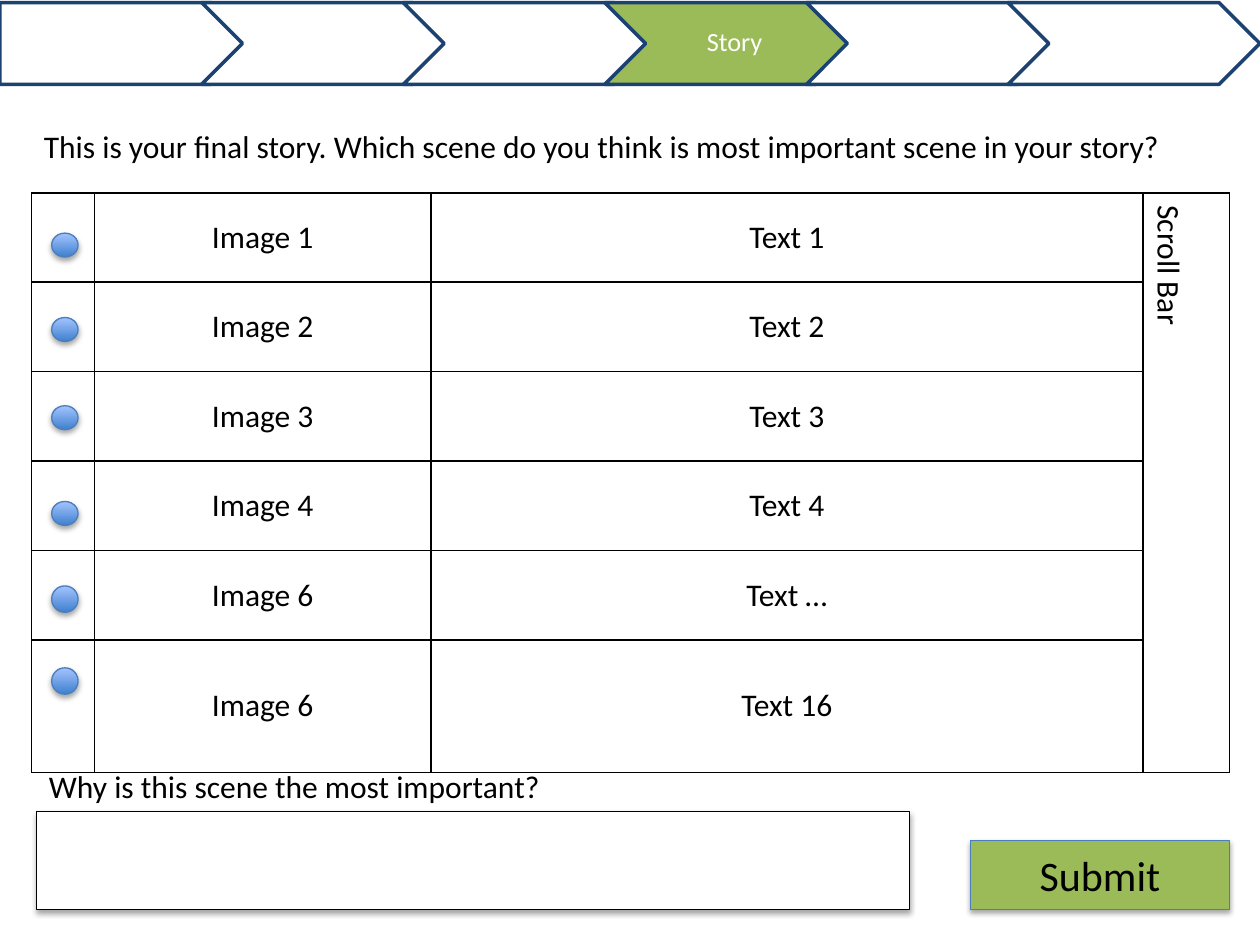
from dataclasses import dataclass

from lxml.etree import SubElement as Sub
from pptx import Presentation as Deck
from pptx.dml.color import RGBColor as Rgb
from pptx.enum.shapes import MSO_SHAPE as Kind
from pptx.enum.text import MSO_ANCHOR as Anchor, MSO_AUTO_SIZE as Fit, PP_ALIGN as Align
from pptx.oxml import parse_xml as read
from pptx.oxml.ns import nsdecls, qn
from pptx.util import Inches, Pt


@dataclass(frozen=True)
class Theme:
    font: str = "Calibri"
    black: str = "000000"
    white: str = "FFFFFF"
    green: str = "9BBB59"
    navy: str = "1C4271"
    blue: str = "4B7EBC"
    deep: str = "3F80CE"
    pale: str = "A4C4FF"
    small: float = 15
    body: float = 18
    large: float = 24


@dataclass(frozen=True)
class Box:
    left: float
    top: float
    width: float
    height: float

    def place(self) -> tuple:
        return tuple(map(Inches, (self.left, self.top, self.width, self.height)))


@dataclass(frozen=True)
class Step:
    kind: Kind
    fill: str
    label: str = ""


@dataclass(frozen=True)
class Scene:
    image: str
    text: str
    dot_top: float
    dot_high: float


THEME = Theme()
STEPS = [
    Step(Kind.PENTAGON, THEME.white),
    Step(Kind.CHEVRON, THEME.white),
    Step(Kind.CHEVRON, THEME.white),
    Step(Kind.CHEVRON, THEME.green, "Story"),
    Step(Kind.CHEVRON, THEME.white),
    Step(Kind.CHEVRON, THEME.white),
]
SCENES = [
    Scene("Image 1", "Text 1", 1.85, 0.19),
    Scene("Image 2", "Text 2", 2.52, 0.19),
    Scene("Image 3", "Text 3", 3.22, 0.19),
    Scene("Image 4", "Text 4", 3.98, 0.19),
    Scene("Image 6", "Text …", 4.65, 0.21),
    Scene("Image 6", "Text 16", 5.3, 0.21),
]
WIDTHS = (0.5, 2.67, 5.65, 0.69)
ROW_HIGH = 0.71


def write(frame, text: str, *, size=THEME.body, color=THEME.black, align=Align.LEFT):
    para = frame.paragraphs[0]
    para.alignment = align
    run = para.add_run()
    run.text = text
    run.font.name = THEME.font
    run.font.size = Pt(size)
    run.font.color.rgb = Rgb.from_string(color)
    return para


def add_note(shapes, box: Box, *, wrap=True, fit=Fit.SHAPE_TO_FIT_TEXT):
    frame = shapes.add_textbox(*box.place()).text_frame
    frame.word_wrap = wrap
    frame.auto_size = fit
    return frame


def add_shape(shapes, kind: Kind, box: Box, fill: str, line: str, weight=0.75, shade=False):
    shape = shapes.add_shape(kind, *box.place())
    shape.fill.solid()
    shape.fill.fore_color.rgb = Rgb.from_string(fill)
    shape.line.color.rgb = Rgb.from_string(line)
    shape.line.width = Pt(weight)
    shape.shadow.inherit = False
    if shade:
        glow = shape._element.spPr.find(qn("a:effectLst"))
        glow.append(read(
            f'<a:outerShdw {nsdecls("a")} blurRad="{Pt(3.1)}" dist="{Pt(1.8)}" '
            f'dir="5400000" rotWithShape="0"><a:srgbClr val="{THEME.black}">'
            '<a:alpha val="35000"/></a:srgbClr></a:outerShdw>'))
    return shape


def add_steps(shapes) -> None:
    group = shapes.add_group_shape().shapes
    for spot, step in enumerate(STEPS):
        left = 1.6 * spot
        add_shape(group, step.kind, Box(left, 0.02, 2, 0.65), step.fill, THEME.navy, 2)
        if step.label:
            frame = add_note(group, Box(left + 0.33, 0.02, 1.35, 0.65), fit=Fit.NONE)
            frame.vertical_anchor = Anchor.MIDDLE
            frame.margin_left, frame.margin_right = Inches(0.07), Inches(0.02)
            frame.margin_top = frame.margin_bottom = Inches(0.04)
            para = write(frame, step.label, size=THEME.small, color=THEME.white,
                         align=Align.CENTER)
            para.line_spacing = 0.9


def rule_cell(cell) -> None:
    cell.fill.background()
    props = cell._tc.get_or_add_tcPr()
    for spot, side in enumerate("LRTB"):
        edge = read(f'<a:ln{side} {nsdecls("a")} w="{Pt(1)}"/>')
        paint = Sub(edge, qn("a:solidFill"))
        Sub(paint, qn("a:srgbClr"), val=THEME.black)
        props.insert(spot, edge)


def add_scenes(shapes) -> None:
    box = Box(0.25, 1.53, sum(WIDTHS), ROW_HIGH * len(SCENES))
    table = shapes.add_table(len(SCENES), len(WIDTHS), *box.place()).table
    table.first_row = table.horz_banding = False
    for column, width in zip(table.columns, WIDTHS):
        column.width = Inches(width)
    for row in table.rows:
        row.height = Inches(ROW_HIGH)
    for cell in table.iter_cells():
        rule_cell(cell)
    for row, scene in enumerate(SCENES):
        for col, text in enumerate((scene.image, scene.text), 1):
            cell = table.cell(row, col)
            cell.vertical_anchor = Anchor.MIDDLE
            write(cell.text_frame, text, align=Align.CENTER)
    bar = table.cell(0, 3)
    bar.merge(table.cell(len(SCENES) - 1, 3))
    bar._tc.get_or_add_tcPr().set("vert", "vert")
    write(bar.text_frame, "Scroll Bar")


def add_dot(shapes, scene: Scene) -> None:
    box = Box(0.41, scene.dot_top, 0.21, scene.dot_high)
    dot = add_shape(shapes, Kind.OVAL, box, THEME.deep, THEME.blue, shade=True)
    dot.fill.gradient()
    dot.fill.gradient_angle = 90
    for stop, spot, color in zip(dot.fill.gradient_stops, (0, 1), (THEME.deep, THEME.pale)):
        stop.position = spot
        stop.color.rgb = Rgb.from_string(color)


def main() -> None:
    deck = Deck()
    deck.slide_width, deck.slide_height = Inches(10), Inches(7.5)
    shapes = deck.slides.add_slide(deck.slide_layouts[6]).shapes
    add_steps(shapes)
    button = add_shape(shapes, Kind.RECTANGLE, Box(7.7, 6.67, 2.06, 0.55),
                       THEME.green, THEME.blue, shade=True)
    button.text_frame.vertical_anchor = Anchor.MIDDLE
    write(button.text_frame, "Submit", size=THEME.large, align=Align.CENTER)
    write(add_note(shapes, Box(0.25, 0.96, 9.5, 0.4)),
          "This is your final story. Which scene do you think is most important "
          "scene in your story?")
    add_scenes(shapes)
    write(add_note(shapes, Box(0.29, 6.04, 4.15, 0.4), wrap=False),
          "Why is this scene the most important?")
    add_shape(shapes, Kind.RECTANGLE, Box(0.29, 6.44, 6.93, 0.78),
              THEME.white, THEME.black, shade=True)
    for scene in SCENES:
        add_dot(shapes, scene)
    deck.save("out.pptx")


if __name__ == "__main__":
    main()
